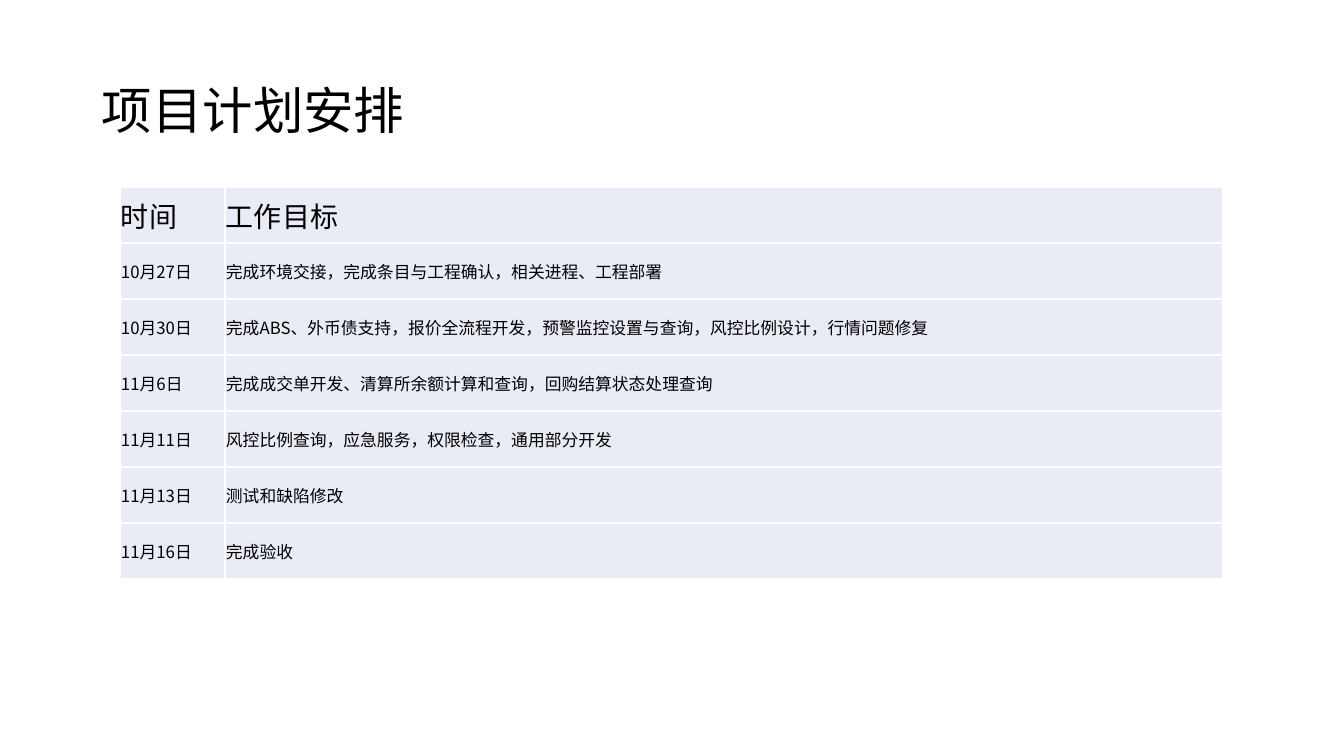
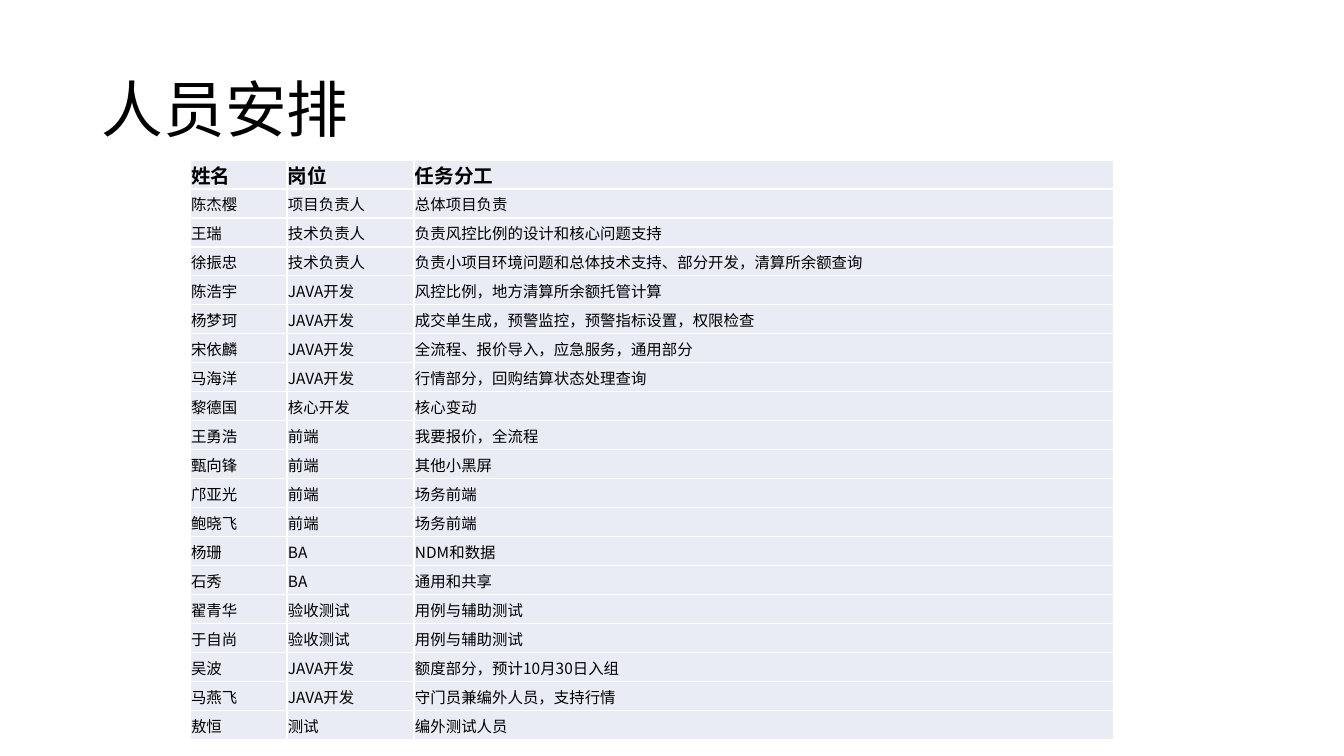
from dataclasses import dataclass

from lxml.etree import SubElement
from pptx import Presentation
from pptx.dml.color import RGBColor
from pptx.enum.text import MSO_ANCHOR as Anchor
from pptx.oxml import parse_xml
from pptx.oxml.ns import nsdecls, qn
from pptx.util import Pt

SLIDE_WIDTH, SLIDE_HEIGHT = 1344, 756
EMU_PER_PIXEL = 12192000 / SLIDE_WIDTH


@dataclass(frozen=True)
class Theme:
    font: str = "Noto Sans CJK SC"
    text: str = "000000"
    cell: str = "E9EBF5"
    border: str = "FFFFFF"
    border_points: int = 1
    title_spacing: float = 0.9
    plan_title: int = 36
    plan_header: int = 20
    plan_body: int = 12
    staff_title: int = 44
    staff_header: int = 14
    staff_body: int = 11


THEME = Theme()
TITLE_BOX = (92, 40, 1159, 146)

PLAN_ROWS = [
    ("时间", "工作目标"),
    ("10月27日", "完成环境交接，完成条目与工程确认，相关进程、工程部署"),
    ("10月30日", "完成ABS、外币债支持，报价全流程开发，预警监控设置与查询，风控比例设计，行情问题修复"),
    ("11月6日", "完成成交单开发、清算所余额计算和查询，回购结算状态处理查询"),
    ("11月11日", "风控比例查询，应急服务，权限检查，通用部分开发"),
    ("11月13日", "测试和缺陷修改"),
    ("11月16日", "完成验收"),
]

STAFF_ROWS = [
    ("姓名", "岗位", "任务分工"),
    ("陈杰樱", "项目负责人", "总体项目负责"),
    ("王瑞", "技术负责人", "负责风控比例的设计和核心问题支持"),
    ("徐振忠", "技术负责人", "负责小项目环境问题和总体技术支持、部分开发，清算所余额查询"),
    ("陈浩宇", "JAVA开发", "风控比例，地方清算所余额托管计算"),
    ("杨梦珂", "JAVA开发", "成交单生成，预警监控，预警指标设置，权限检查"),
    ("宋依麟", "JAVA开发", "全流程、报价导入，应急服务，通用部分"),
    ("马海洋", "JAVA开发", "行情部分，回购结算状态处理查询"),
    ("黎德国", "核心开发", "核心变动"),
    ("王勇浩", "前端", "我要报价，全流程"),
    ("甄向锋", "前端", "其他小黑屏"),
    ("邝亚光", "前端", "场务前端"),
    ("鲍晓飞", "前端", "场务前端"),
    ("杨珊", "BA", "NDM和数据"),
    ("石秀", "BA", "通用和共享"),
    ("翟青华", "验收测试", "用例与辅助测试"),
    ("于自尚", "验收测试", "用例与辅助测试"),
    ("吴波", "JAVA开发", "额度部分，预计10月30日入组"),
    ("马燕飞", "JAVA开发", "守门员兼编外人员，支持行情"),
    ("敖恒", "测试", "编外测试人员"),
]


def px(pixels):
    return round(pixels * EMU_PER_PIXEL)


def set_attributes(target, values):
    for name, value in values.items():
        setattr(target, name, value)


def write_text(paragraph, text, size, bold=False):
    run = paragraph.add_run()
    run.text = text
    set_attributes(run.font, {"name": THEME.font, "size": Pt(size), "bold": bold})
    run.font.color.rgb = RGBColor.from_string(THEME.text)
    # East Asian glyphs take their own typeface element
    SubElement(run.font._element, qn("a:ea"), typeface=THEME.font)


def add_borders(cell):
    properties = cell._tc.get_or_add_tcPr()
    for index, side in enumerate("LRTB"):
        properties.insert(index, parse_xml(
            f'<a:ln{side} {nsdecls("a")} w="{Pt(THEME.border_points)}"><a:solidFill>'
            f'<a:srgbClr val="{THEME.border}"/></a:solidFill></a:ln{side}>'))


def add_title(slide, box, text, size):
    frame = slide.shapes.add_textbox(*map(px, box)).text_frame
    set_attributes(frame, {"word_wrap": True, "vertical_anchor": Anchor.MIDDLE})
    paragraph = frame.paragraphs[0]
    paragraph.line_spacing = THEME.title_spacing
    write_text(paragraph, text, size)


def add_grid(slide, origin, column_widths, row_height, rows, sizes, bold_header):
    left, top = origin
    box = (left, top, sum(column_widths), row_height * len(rows))
    table = slide.shapes.add_table(len(rows), len(column_widths), *map(px, box)).table
    set_attributes(table, {"first_row": False, "horz_banding": False})
    for column, width in zip(table.columns, column_widths):
        column.width = px(width)

    header_size, body_size = sizes
    cell_format = {"vertical_anchor": Anchor.MIDDLE, "margin_left": px(1),
                   "margin_right": px(1), "margin_top": px(1), "margin_bottom": 0}
    for row_index, (row, texts) in enumerate(zip(table.rows, rows)):
        row.height = px(row_height)
        is_header = row_index == 0
        for cell, text in zip(row.cells, texts):
            set_attributes(cell, cell_format)
            cell.fill.solid()
            cell.fill.fore_color.rgb = RGBColor.from_string(THEME.cell)
            add_borders(cell)
            write_text(cell.text_frame.paragraphs[0], text,
                       header_size if is_header else body_size,
                       is_header and bold_header)


def add_table_slide(presentation, title, title_size, **grid):
    slide = presentation.slides.add_slide(presentation.slide_layouts[6])
    add_title(slide, TITLE_BOX, title, title_size)
    add_grid(slide, **grid)


presentation = Presentation()
set_attributes(presentation, {"slide_width": px(SLIDE_WIDTH),
                              "slide_height": px(SLIDE_HEIGHT)})

# Project schedule
add_table_slide(presentation, "项目计划安排", THEME.plan_title,
                origin=(120, 187), column_widths=(105, 998), row_height=56,
                rows=PLAN_ROWS, sizes=(THEME.plan_header, THEME.plan_body),
                bold_header=False)

# Staff assignments
add_table_slide(presentation, "人员安排", THEME.staff_title,
                origin=(190, 160), column_widths=(97, 127, 700), row_height=29,
                rows=STAFF_ROWS, sizes=(THEME.staff_header, THEME.staff_body),
                bold_header=True)

presentation.save("out.pptx")
